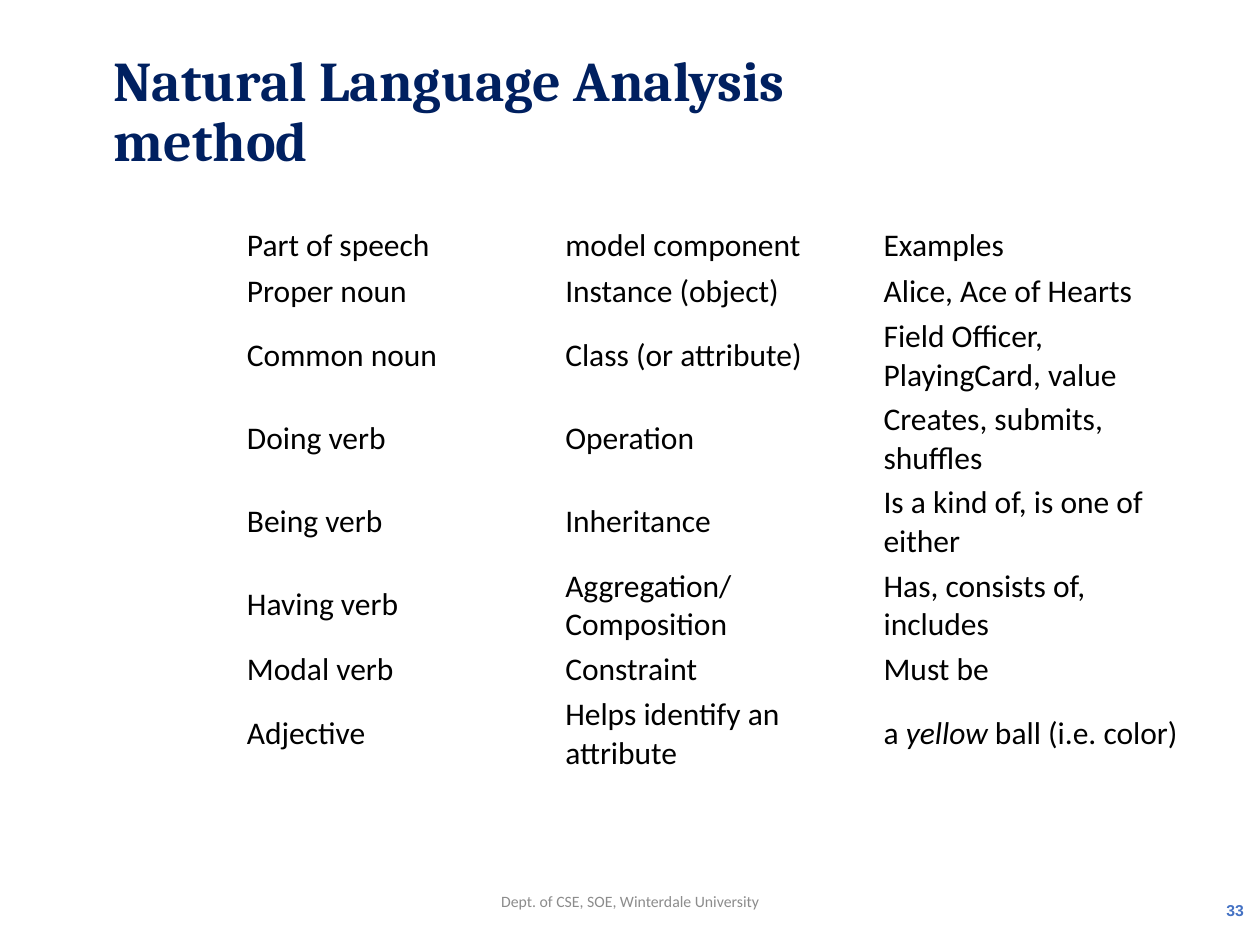
from pptx import Presentation
from pptx.dml.color import RGBColor
from pptx.enum.text import MSO_ANCHOR, PP_ALIGN
from pptx.util import Inches, Pt

MID = MSO_ANCHOR.MIDDLE
LEFT, MIDDLE, RIGHT = PP_ALIGN.LEFT, PP_ALIGN.CENTER, PP_ALIGN.RIGHT

WIDE, HIGH = 10, 7.5
COLORS = {"navy": "002060", "gray": "8C8C8C", "blue": "4472C4",
          "black": "000000", "white": "FFFFFF"}
SHORT, TALL = 0.36, 0.66
PAD = Inches(0.03)

# Row height, then the three cells; a list holds (text, italic) runs
ROWS = [
    (SHORT, "Part of speech", "model component", "Examples"),
    (SHORT, "Proper noun", "Instance (object)", "Alice, Ace of Hearts"),
    (TALL, "Common noun", "Class (or attribute)",
     "Field Officer, PlayingCard, value"),
    (TALL, "Doing verb", "Operation", "Creates, submits, shuffles"),
    (TALL, "Being verb", "Inheritance", "Is a kind of, is one of either"),
    (TALL, "Having verb", "Aggregation/Composition",
     "Has, consists of, includes"),
    (SHORT, "Modal verb", "Constraint", "Must be"),
    (TALL, "Adjective", "Helps identify an attribute",
     [("a\u00a0", False), ("yellow", True),
      ("\u00a0ball (i.e. color)", False)]),
]


def area(x, y, w, h):
    """Turn shares of the slide into lengths."""
    return (Inches(x * WIDE), Inches(y * HIGH),
            Inches(w * WIDE), Inches(h * HIGH))


def add_run(para, text, font, size, color, bold=False, italic=False):
    run = para.add_run()
    run.text = text
    run.font.name = font
    run.font.size = Pt(size)
    run.font.bold = bold
    run.font.italic = italic
    run.font.color.rgb = RGBColor.from_string(COLORS[color])


def add_label(slide, place, text, font, size, color, bold=False, align=LEFT):
    frame = slide.shapes.add_textbox(*area(*place)).text_frame
    frame.word_wrap = True
    frame.vertical_anchor = MID
    para = frame.paragraphs[0]
    para.alignment = align
    add_run(para, text, font, size, color, bold)
    return frame


def add_title(slide, place, text):
    frame = add_label(slide, place, text, "Cambria", 32, "navy", True)
    frame.margin_left = frame.margin_right = Inches(0.07)
    frame.margin_top = frame.margin_bottom = PAD
    para = frame.paragraphs[0]
    para.line_spacing = 0.9
    para.space_before = Pt(3)


def fill_cell(cell, item):
    cell.fill.solid()
    cell.fill.fore_color.rgb = RGBColor.from_string(COLORS["white"])
    cell.vertical_anchor = MID
    cell.margin_left = cell.margin_right = PAD
    cell.margin_top = cell.margin_bottom = PAD
    runs = [(item, False)] if isinstance(item, str) else item
    for text, italic in runs:
        add_run(cell.text_frame.paragraphs[0], text, "Calibri", 18, "black",
                italic=italic)


def add_grid(slide, place, rows):
    count = len(rows[0]) - 1
    table = slide.shapes.add_table(len(rows), count, *area(*place)).table
    table.first_row = table.horz_banding = False
    for r, (height, *items) in enumerate(rows):
        table.rows[r].height = Inches(height)
        for c, item in enumerate(items):
            fill_cell(table.cell(r, c), item)


def main():
    deck = Presentation()
    deck.slide_width, deck.slide_height = Inches(WIDE), Inches(HIGH)
    slide = deck.slides.add_slide(deck.slide_layouts[6])

    # Heading
    add_title(slide, (0.083, 0.084, 0.691, 0.072),
              "Natural Language Analysis method")

    # Parts of speech
    add_grid(slide, (0.193, 0.236, 0.758, 0.587), ROWS)

    # Footer and page number
    add_label(slide, (0.331, 0.927, 0.338, 0.053),
              "Dept. of CSE, SOE, Winterdale University",
              "Calibri", 9, "gray", align=MIDDLE)
    add_label(slide, (0.772, 0.937, 0.225, 0.053), "33",
              "Arial", 9, "blue", True, RIGHT)

    deck.save("out.pptx")


main()
